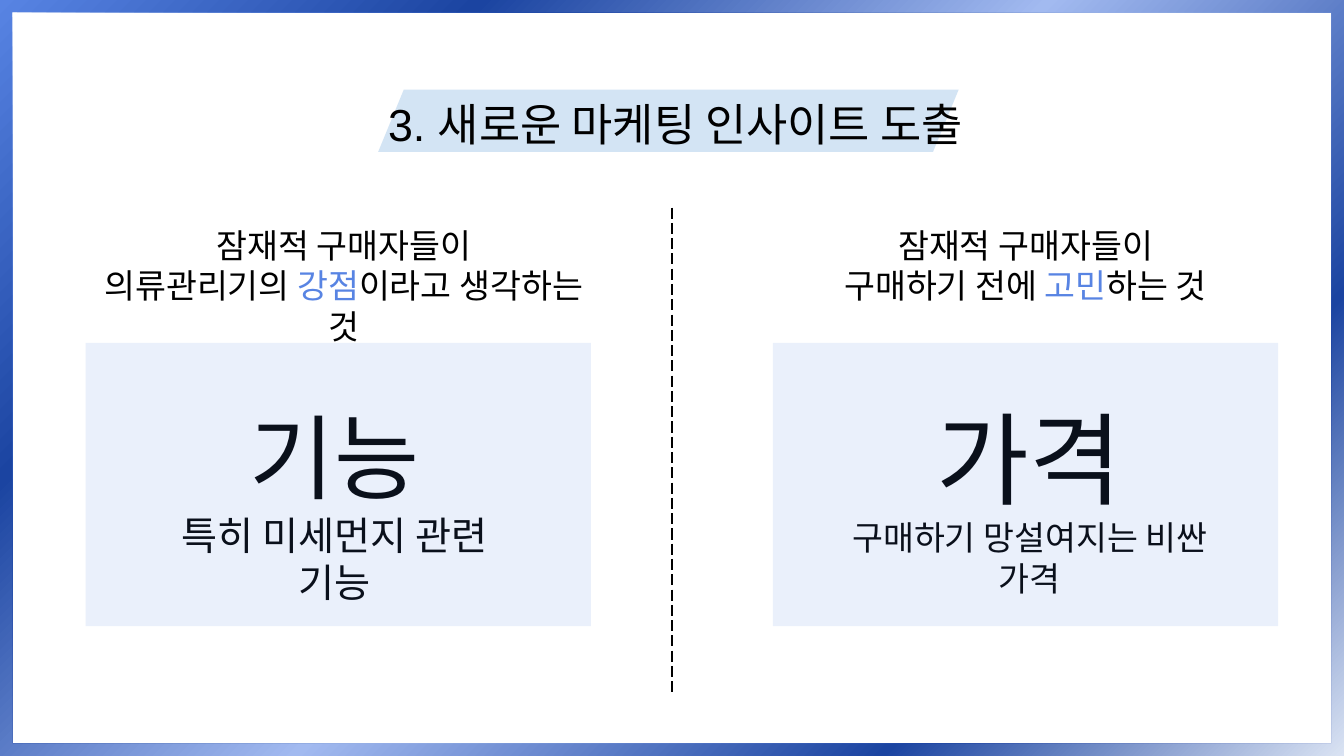
"""Build the marketing insight slide comparing product strengths and purchase worries."""
from lxml.etree import SubElement
from pptx import Presentation
from pptx.dml.color import RGBColor
from pptx.enum.dml import MSO_LINE
from pptx.enum.shapes import MSO_CONNECTOR, MSO_SHAPE
from pptx.enum.text import MSO_AUTO_SIZE, PP_ALIGN
from pptx.oxml.ns import qn
from pptx.util import Cm, Pt

COLORS = {
    "text": "000000",
    "accent": "5884E3",
    "deep": "1B44A1",
    "soft": "A2BAF0",
    "pale": "DAE3F3",
    "banner": "9DC3E6",
}
SLIDE_WIDTH, SLIDE_HEIGHT = 33.87, 19.05
FRAME_STOPS = [(0, "accent"), (23, "deep"), (50, "soft"), (78, "deep"), (100, "pale")]


def rgb(name):
    """Return the named palette colour."""
    return RGBColor.from_string(COLORS[name])


def add_plain_shape(slide, preset, box, adjustment=None):
    """Add a preset shape without outline or shadow."""
    shape = slide.shapes.add_shape(preset, *map(Cm, box))
    shape.shadow.inherit = False
    shape.line.fill.background()
    if adjustment is not None:
        shape.adjustments[0] = adjustment
    return shape


def add_tinted_shape(slide, preset, box, color, opacity, adjustment=None):
    """Add a shape with a translucent solid fill."""
    shape = add_plain_shape(slide, preset, box, adjustment)
    shape.fill.solid()
    shape.fill.fore_color.rgb = rgb(color)
    fill_color = shape.element.spPr.find(qn("a:solidFill"))[0]
    SubElement(fill_color, qn("a:alpha")).set("val", str(opacity * 1000))


def add_gradient_frame(slide):
    """Add the diagonal gradient border around the slide."""
    box = (0, 0, SLIDE_WIDTH, SLIDE_HEIGHT)
    frame = add_plain_shape(slide, MSO_SHAPE.FRAME, box, 0.016)
    frame.fill.gradient()
    frame.fill.gradient_angle = 315
    stops = frame.element.spPr.find(qn("a:gradFill")).find(qn("a:gsLst"))
    for stop in list(stops):
        stops.remove(stop)
    for position, color in FRAME_STOPS:
        stop = SubElement(stops, qn("a:gs"), pos=str(position * 1000))
        SubElement(stop, qn("a:srgbClr"), val=COLORS[color])


def add_text(slide, box, lines, font_name="Calibri", alignment=PP_ALIGN.CENTER):
    """Add a text box from lines of (size, runs), each run being (text, colour)."""
    frame = slide.shapes.add_textbox(*map(Cm, box)).text_frame
    frame.word_wrap = True
    frame.auto_size = MSO_AUTO_SIZE.SHAPE_TO_FIT_TEXT
    for index, (size, runs) in enumerate(lines):
        paragraph = frame.add_paragraph() if index else frame.paragraphs[0]
        paragraph.alignment = alignment
        paragraph.font.size = Pt(size)
        paragraph.font.name = font_name
        for text, color in runs:
            run = paragraph.add_run()
            run.text = text
            run.font.color.rgb = rgb(color)


def add_heading(slide, box, before, keyword, after):
    """Add a column heading with a highlighted keyword."""
    second = [(before, "text"), (keyword, "accent"), (after, "text")]
    add_text(slide, box, [(24, [("잠재적 구매자들이", "text")]), (24, second)])


def add_answer(slide, box, word, word_size, detail, detail_size):
    """Add a large answer word with its explanation."""
    lines = [(word_size, [(word, "text")]), (detail_size, [(detail, "text")])]
    add_text(slide, box, lines)


def add_divider(slide):
    """Add the dashed vertical divider."""
    middle = SLIDE_WIDTH / 2
    ends = map(Cm, (middle, 5.23, middle, 17.5))
    divider = slide.shapes.add_connector(MSO_CONNECTOR.STRAIGHT, *ends)
    divider.line.color.rgb = rgb("text")
    divider.line.width = Pt(1)
    divider.line.dash_style = MSO_LINE.LONG_DASH
    SubElement(divider.element.spPr, qn("a:effectLst"))


def main():
    """Create and save the slide."""
    presentation = Presentation()
    presentation.slide_width = Cm(SLIDE_WIDTH)
    presentation.slide_height = Cm(SLIDE_HEIGHT)
    slide = presentation.slides.add_slide(presentation.slide_layouts[6])
    banner_box = (9.53, 2.26, 14.63, 1.57)
    add_tinted_shape(slide, MSO_SHAPE.PARALLELOGRAM, banner_box, "banner", 44, 0.412)
    add_heading(slide, (2.16, 5.54, 13, 2.31), "의류관리기의 ", "강점", "이라고 생각하는 것")
    add_heading(slide, (19.99, 5.54, 11.71, 2.31), "구매하기 전에 ", "고민", "하는 것")
    add_answer(slide, (3.33, 9.96, 10.21, 4.27), "기능", 66, "특히 미세먼지 관련 기능", 28)
    add_divider(slide)
    add_answer(slide, (20.55, 9.86, 10.8, 4.37), "가격", 72, "구매하기 망설여지는 비싼 가격", 24)
    for left in (2.16, 19.48):
        panel_box = (left, 8.64, 12.73, 7.14)
        add_tinted_shape(slide, MSO_SHAPE.FLOWCHART_PROCESS, panel_box, "accent", 12)
    title = [(32, [("3. 새로운 마케팅 인사이트 도출", "text")])]
    add_text(slide, (9.53, 2.31, 15.77, 1.63), title, "Arial", PP_ALIGN.LEFT)
    add_gradient_frame(slide)
    presentation.save("out.pptx")


if __name__ == "__main__":
    main()
